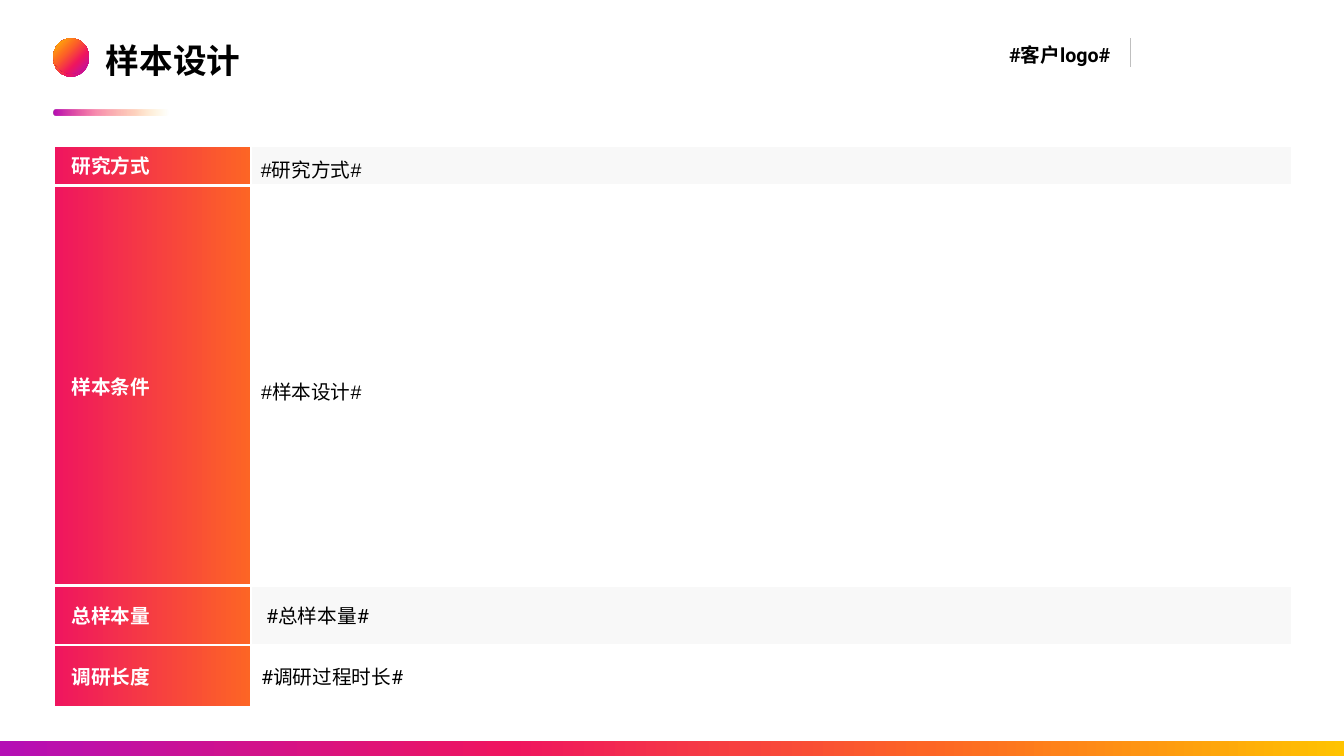
from lxml.etree import SubElement
from pptx import Presentation
from pptx.dml.color import RGBColor
from pptx.enum.shapes import MSO_CONNECTOR, MSO_SHAPE
from pptx.enum.text import MSO_ANCHOR
from pptx.oxml.ns import qn
from pptx.util import Inches, Pt

BRAND = ("B50FB5", "EF155F", "FD6525", "FFC300")


def rgb(value):
    return RGBColor.from_string(value)


def add_color(parent, value, alpha=100):
    color = SubElement(parent, qn("a:srgbClr"), val=value)
    if alpha < 100:
        SubElement(color, qn("a:alpha"), val=str(alpha * 1000))


def add_solid(parent, value, alpha=100):
    add_color(SubElement(parent, qn("a:solidFill")), value, alpha)


def add_gradient(parent, stops, angle):
    """Append a linear gradient of (position, color, alpha) stops."""
    gradient = SubElement(parent, qn("a:gradFill"), rotWithShape="1")
    stop_list = SubElement(gradient, qn("a:gsLst"))
    for position, value, alpha in stops:
        stop = SubElement(stop_list, qn("a:gs"), pos=str(position * 1000))
        add_color(stop, value, alpha)
    SubElement(gradient, qn("a:lin"), ang=str(angle * 60000), scaled="0")


def brand_stops(positions, alphas=(100,) * 4):
    return list(zip(positions, BRAND, alphas))


class SlideBuilder:
    label_stops = [(0, "FD6525", 100), (100, "EF155F", 100)]

    def __init__(self, slide):
        self.slide = slide

    def gradient_shape(self, kind, box, stops, angle=0):
        shape = self.slide.shapes.add_shape(kind, *map(Inches, box))
        add_gradient(shape._element.spPr, stops, angle)
        shape.line.fill.background()
        shape.shadow.inherit = False
        return shape

    def set_text(self, frame, text, size=14, font="Arial", color="000000",
                 bold=False, spacing=None):
        paragraph = frame.paragraphs[0]
        paragraph.text = text
        if spacing:
            paragraph.line_spacing = spacing
        for run in paragraph.runs:
            run.font.size = Pt(size)
            run.font.name = font
            run.font.bold = bold
            run.font.color.rgb = rgb(color)

    def text(self, box, text, margin=None, anchor=MSO_ANCHOR.TOP, **style):
        frame = self.slide.shapes.add_textbox(*map(Inches, box)).text_frame
        frame.word_wrap = True
        frame.vertical_anchor = anchor
        if margin is not None:
            frame.margin_left = frame.margin_right = Inches(margin)
            frame.margin_top = frame.margin_bottom = Inches(margin)
        self.set_text(frame, text, **style)

    def line(self, start, end, color, width):
        rule = self.slide.shapes.add_connector(
            MSO_CONNECTOR.STRAIGHT, *map(Inches, start + end))
        rule.line.color.rgb = rgb(color)
        rule.line.width = Pt(width)
        SubElement(rule._element.spPr, qn("a:effectLst"))

    def cell(self, cell, text, indent, **style):
        cell.vertical_anchor = MSO_ANCHOR.MIDDLE
        cell.margin_left = Inches(indent)
        self.set_text(cell.text_frame, text, **style)
        properties = cell._tc.get_or_add_tcPr()
        for side in ("lnL", "lnR", "lnT", "lnB"):
            border = SubElement(properties, qn(f"a:{side}"), w=str(Pt(2.25)))
            add_solid(border, "FFFFFF")
        return properties

    def design_table(self, box, widths, rows):
        table = self.slide.shapes.add_table(
            len(rows), len(widths), *map(Inches, box)).table
        table.first_row = table.horz_banding = False
        for column, width in zip(table.columns, widths):
            column.width = Inches(width)
        for index, (height, label, value, indent, style) in enumerate(rows):
            table.rows[index].height = Inches(height)
            label_cell = self.cell(table.cell(index, 0), label, 0.18,
                                   font="Roboto", color="FFFFFF", bold=True)
            add_gradient(label_cell, self.label_stops, 180)
            value_cell = self.cell(table.cell(index, 1), value, indent, **style)
            if index % 2 == 0:
                add_solid(value_cell, "F2F2F2", 50)
            else:
                add_solid(value_cell, "FFFFFF")


def main():
    presentation = Presentation()
    presentation.slide_width = Inches(13.33)
    presentation.slide_height = Inches(7.5)
    builder = SlideBuilder(
        presentation.slides.add_slide(presentation.slide_layouts[6]))

    # Footer band and the two overlapping title dots
    builder.gradient_shape(MSO_SHAPE.RECTANGLE, (0, 7.35, 13.33, 0.15),
                           brand_stops((0, 38, 69, 100)))
    for dot_top in (0.41, 0.38):
        builder.gradient_shape(MSO_SHAPE.OVAL, (0.53, dot_top, 0.35, 0.35),
                               brand_stops((2, 33, 63, 100)), 225)

    # Title
    builder.text((1.05, 0.33, 10.5, 0.53), "样本设计", margin=0,
                 anchor=MSO_ANCHOR.MIDDLE, size=24, bold=True)

    # Sample design table: height, label, value, value indent, value style
    roboto = {"font": "Roboto"}
    builder.design_table((0.53, 1.44, 12.29, 5.58), (1.96, 10.33), [
        (0.4, "研究方式", "", 0.1, {}),
        (3.97, "样本条件", "#样本设计#", 0.1, {"spacing": 1.4}),
        (0.59, "总样本量", "#总样本量#", 0.15, roboto),
        (0.62, "调研长度", "#调研过程时长#", 0.1, roboto),
    ])

    # Fading rule under the title
    underline = builder.gradient_shape(
        MSO_SHAPE.ROUNDED_RECTANGLE, (0.53, 1.09, 1.14, 0.06),
        brand_stops((0, 36, 70, 100), (100, 50, 30, 0)))
    underline.adjustments[0] = 0.48

    # Client mark and research method
    builder.line((11.21, 0.38), (11.21, 0.66), "BFBFBF", 1)
    builder.text((9.91, 0.38, 1.3, 0.34), "#客户logo#", font="Roboto", bold=True)
    builder.text((2.49, 1.42, 1.86, 0.4), "#研究方式#", spacing=1.4)

    presentation.save("out.pptx")


if __name__ == "__main__":
    main()
